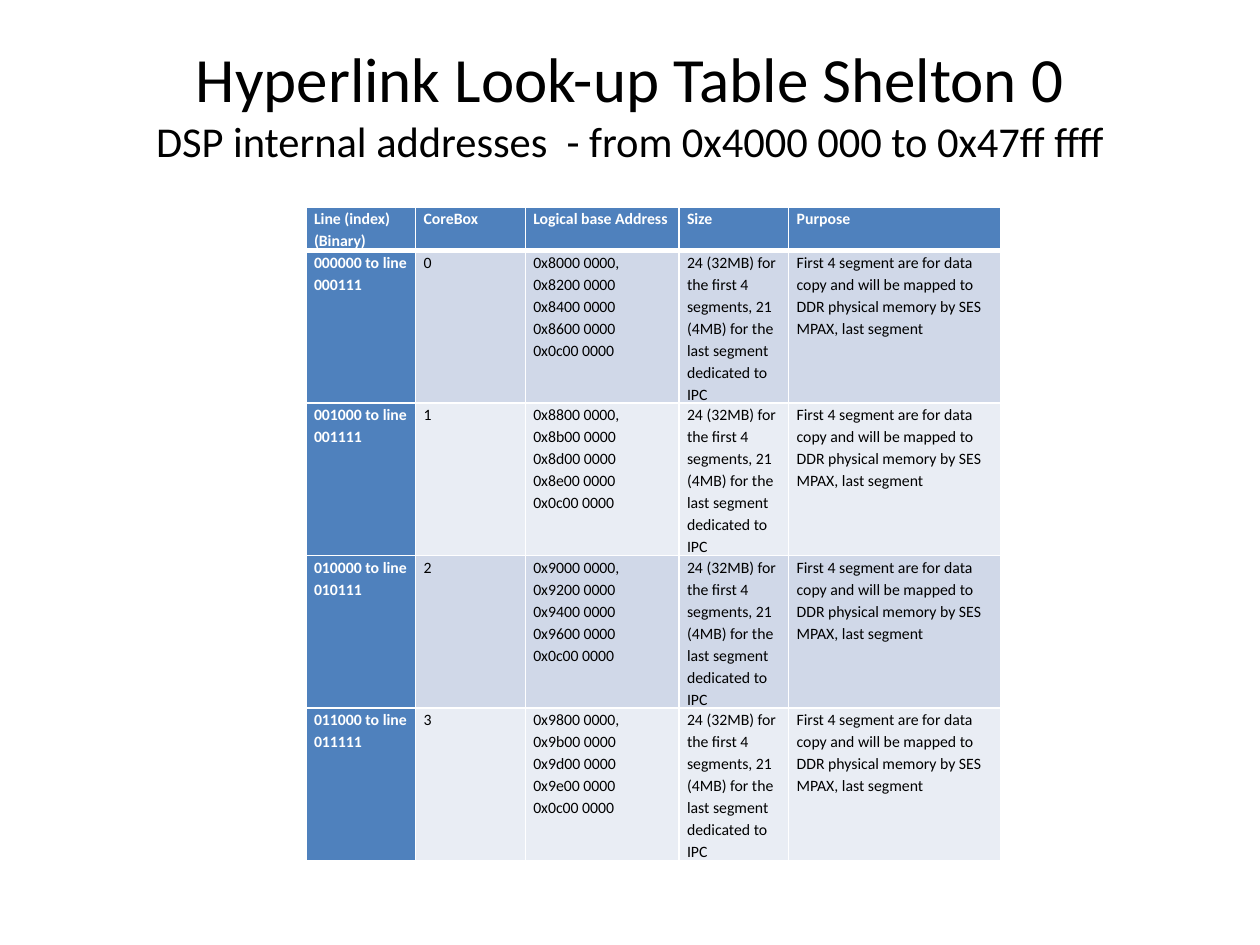
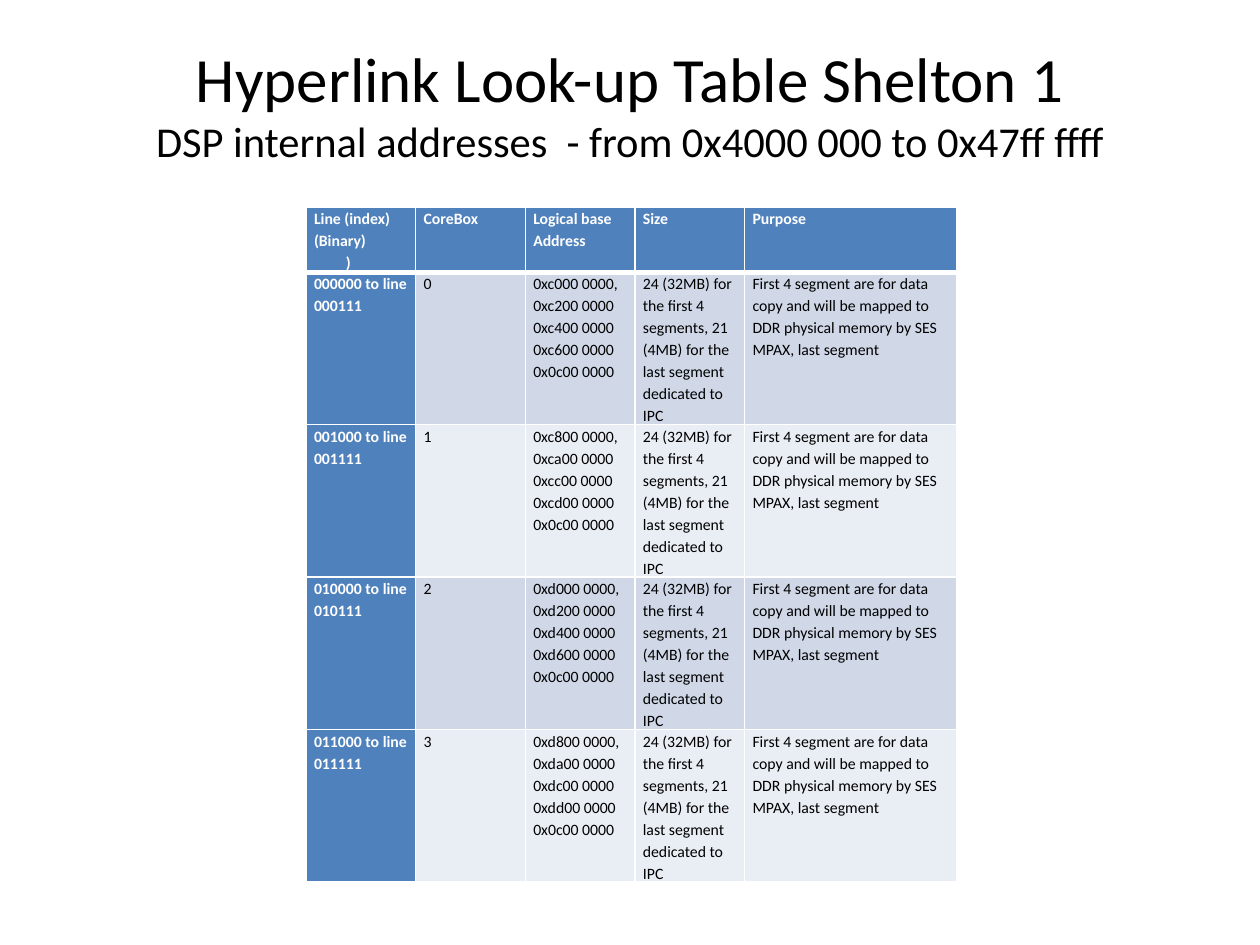
from dataclasses import dataclass

from lxml.etree import SubElement
from pptx import Presentation
from pptx.dml.color import RGBColor
from pptx.enum.text import MSO_ANCHOR, PP_ALIGN
from pptx.oxml.ns import qn
from pptx.slide import Slide
from pptx.table import _Cell
from pptx.util import Cm, Pt


@dataclass(frozen=True)
class Theme:
    font: str = "Calibri"
    black: str = "000000"
    white: str = "FFFFFF"
    heading_fill: str = "4F81BD"
    bands: tuple[str, str] = ("D0D8E8", "E9EDF4")
    title_size: float = 36
    subtitle_size: float = 24.3
    cell_size: float = 9
    cell_spacing: float = 1.15
    thin_line: float = 1
    thick_line: float = 3


@dataclass(frozen=True)
class LookupTable:
    title: str
    index_heading: tuple[str, ...]
    address_width: float
    segment_bases: tuple[str, ...]


THEME = Theme()
SUBTITLE = "DSP internal addresses  - from 0x4000 000 to 0x47ff ffff"
HEADINGS = ("CoreBox", "Logical base Address", "Size", "Purpose")
SIZE_NOTE = (
    "24 (32MB) for the first 4 segments, 21 (4MB) for the last segment dedicated to IPC"
)
PURPOSE_NOTE = (
    "First 4 segment are for data copy and will be mapped to DDR physical memory "
    "by SES MPAX, last segment"
)
SHARED_BASE = "0c00"
LINES_PER_CORE = 8
NARROW_COLUMN = 2.21
PURPOSE_COLUMN = 4.27
HEADING_HEIGHT = 0.84
CORE_HEIGHT = 2.92

LOOKUP_TABLES = (
    LookupTable(
        "Hyperlink Look-up Table Shelton 0",
        ("Line (index)", "(Binary)"),
        3.1,
        (
            "8000 8200 8400 8600",
            "8800 8b00 8d00 8e00",
            "9000 9200 9400 9600",
            "9800 9b00 9d00 9e00",
        ),
    ),
    LookupTable(
        "Hyperlink Look-up Table Shelton 1",
        ("Line (index)", "(Binary)", ")"),
        NARROW_COLUMN,
        (
            "c000 c200 c400 c600",
            "c800 ca00 cc00 cd00",
            "d000 d200 d400 d600",
            "d800 da00 dc00 dd00",
        ),
    ),
)


def add_title(page: Slide, title: str) -> None:
    box = page.shapes.add_textbox(Cm(1.27), Cm(0.76), Cm(22.86), Cm(2.62))
    frame = box.text_frame
    frame.word_wrap = True
    frame.vertical_anchor = MSO_ANCHOR.MIDDLE
    para = frame.paragraphs[0]
    para.alignment = PP_ALIGN.CENTER
    para.font.name = THEME.font
    para.font.color.rgb = RGBColor.from_string(THEME.black)
    span = para.add_run()
    span.text = title
    span.font.size = Pt(THEME.title_size)
    para.add_line_break()
    span = para.add_run()
    span.text = SUBTITLE
    span.font.size = Pt(THEME.subtitle_size)


def set_borders(cell: _Cell, top: float, bottom: float) -> None:
    properties = cell._tc.get_or_add_tcPr()
    widths = {"lnL": THEME.thin_line, "lnR": THEME.thin_line, "lnT": top, "lnB": bottom}
    for edge, width in widths.items():
        line = SubElement(properties, qn(f"a:{edge}"), w=str(Pt(width)))
        fill = SubElement(line, qn("a:solidFill"))
        SubElement(fill, qn("a:srgbClr"), val=THEME.white)


def fill_cell(cell: _Cell, lines: tuple[str, ...], row: int, column: int) -> None:
    is_heading = row == 0 or column == 0
    set_borders(
        cell,
        top=THEME.thick_line if row == 1 else THEME.thin_line,
        bottom=THEME.thick_line if row == 0 else THEME.thin_line,
    )
    fill = THEME.heading_fill if is_heading else THEME.bands[(row - 1) % 2]
    cell.fill.solid()
    cell.fill.fore_color.rgb = RGBColor.from_string(fill)
    cell.margin_left = cell.margin_right = Cm(0.16)
    cell.margin_top = cell.margin_bottom = 0
    cell.text = "\n".join(lines)
    for para in cell.text_frame.paragraphs:
        if para.text == ")":
            para._p.get_or_add_pPr().set("marL", str(Cm(0.64)))
        para.line_spacing = THEME.cell_spacing
        para.font.name = THEME.font
        para.font.size = Pt(THEME.cell_size)
        para.font.bold = is_heading
        color = THEME.white if is_heading else THEME.black
        para.font.color.rgb = RGBColor.from_string(color)


def core_row(core: int, bases: str) -> list[tuple[str, ...]]:
    first_line = core * LINES_PER_CORE
    last_line = first_line + LINES_PER_CORE - 1
    first, *others = [f"0x{base} 0000" for base in (*bases.split(), SHARED_BASE)]
    return [
        (f"{first_line:06b} to line {last_line:06b}",),
        (str(core),),
        (f"{first},", *others),
        (SIZE_NOTE,),
        (PURPOSE_NOTE,),
    ]


def add_lookup_table(page: Slide, lookup: LookupTable) -> None:
    rows = [[lookup.index_heading, *((heading,) for heading in HEADINGS)]]
    rows += [core_row(core, bases) for core, bases in enumerate(lookup.segment_bases)]
    widths = (
        NARROW_COLUMN, NARROW_COLUMN, lookup.address_width, NARROW_COLUMN, PURPOSE_COLUMN
    )
    heights = [HEADING_HEIGHT] + [CORE_HEIGHT] * len(lookup.segment_bases)
    table = page.shapes.add_table(
        len(rows), len(widths), Cm(6.17), Cm(4.17), Cm(sum(widths)), Cm(sum(heights))
    ).table
    for column, width in zip(table.columns, widths):
        column.width = Cm(width)
    for table_row, height in zip(table.rows, heights):
        table_row.height = Cm(height)
    for row, entries in enumerate(rows):
        for column, lines in enumerate(entries):
            fill_cell(table.cell(row, column), lines, row, column)


def main() -> None:
    deck = Presentation()
    deck.slide_width, deck.slide_height = Cm(25.4), Cm(19.05)
    for lookup in LOOKUP_TABLES:
        page = deck.slides.add_slide(deck.slide_layouts[6])
        add_title(page, lookup.title)
        add_lookup_table(page, lookup)
    deck.save("out.pptx")


if __name__ == "__main__":
    main()
